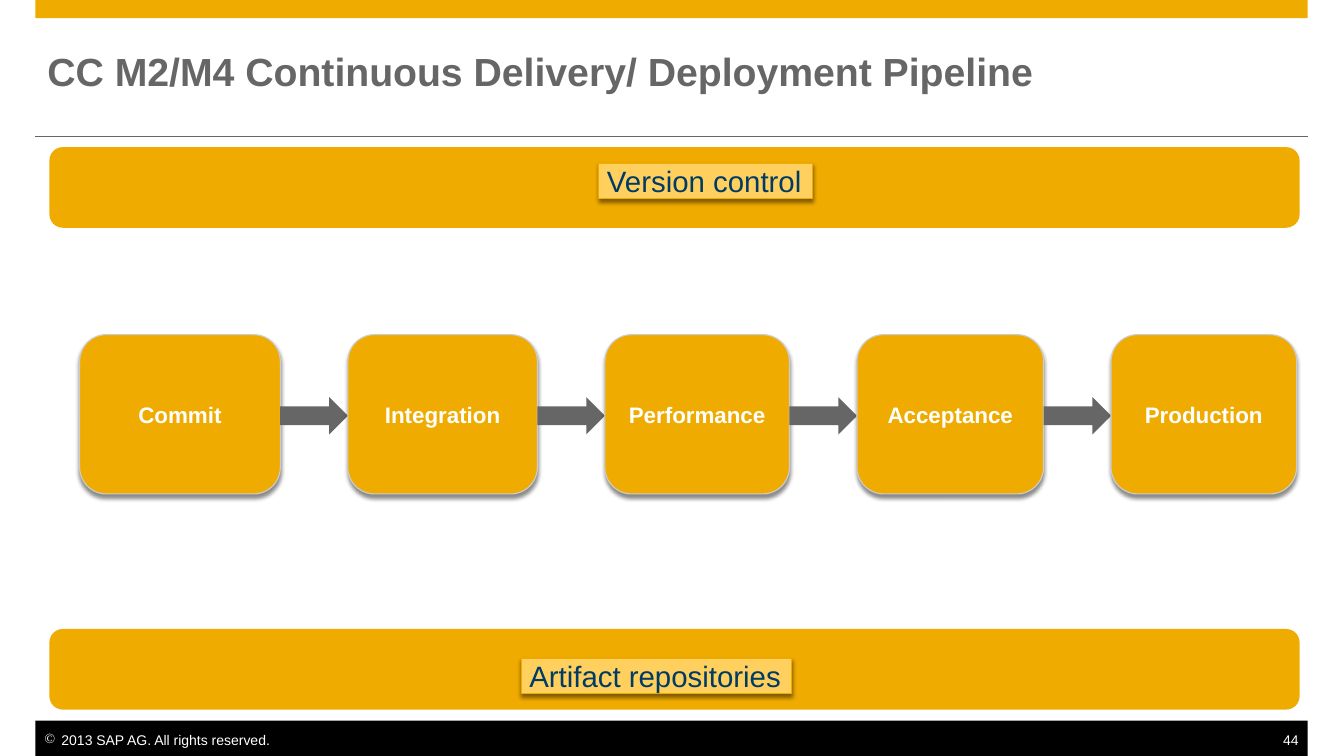
from lxml.etree import SubElement
from pptx import Presentation
from pptx.dml.color import RGBColor
from pptx.enum.shapes import MSO_CONNECTOR, MSO_SHAPE
from pptx.enum.text import MSO_ANCHOR, PP_ALIGN
from pptx.oxml.ns import qn
from pptx.util import Pt

PX = 9144  # 100 px to the inch
GOLD = RGBColor(0xF0, 0xAB, 0x00)
PALE = RGBColor(0xFF, 0xD0, 0x5D)
NAVY = RGBColor(0x00, 0x3B, 0x66)
GRAY = RGBColor(0x66, 0x66, 0x66)
SILVER = RGBColor(0xCC, 0xCC, 0xCC)
WHITE = RGBColor(0xFF, 0xFF, 0xFF)
BLACK = RGBColor(0x00, 0x00, 0x00)

STAGES = [("Commit", 199), ("Integration", 188), ("Performance", 183),
          ("Acceptance", 185), ("Production", 184)]


def emu(*sizes):
    return [size * PX for size in sizes]


def add_shadow(shape):
    effects = shape._element.spPr.find(qn("a:effectLst"))
    outer = SubElement(effects, qn("a:outerShdw"), blurRad=str(Pt(3)),
                       dist=str(Pt(2.4)), dir="5400000", rotWithShape="0")
    tint = SubElement(outer, qn("a:srgbClr"), val=str(BLACK))
    SubElement(tint, qn("a:alpha"), val="45000")


def add_block(slide, kind, box, fill, edge=None):
    """Add a filled shape; one with an edge also casts a shadow."""
    shape = slide.shapes.add_shape(kind, *emu(*box))
    shape.shadow.inherit = False
    shape.fill.solid()
    shape.fill.fore_color.rgb = fill
    if edge is None:
        shape.line.fill.background()
    else:
        shape.line.color.rgb = edge
        shape.line.width = Pt(0.79)
        add_shadow(shape)
    return shape


def write(shape, text, size, color, bold=False, align=PP_ALIGN.LEFT,
          anchor=MSO_ANCHOR.TOP, inset=(0, 0, 0, 0), wrap=True, bullet=None):
    frame = shape.text_frame
    frame.word_wrap = wrap
    frame.vertical_anchor = anchor
    (frame.margin_left, frame.margin_top,
     frame.margin_right, frame.margin_bottom) = emu(*inset)
    para = frame.paragraphs[0]
    para.alignment = align
    if bullet:
        props = para._p.get_or_add_pPr()
        props.set("marL", str(17 * PX))
        props.set("indent", str(-17 * PX))
        tint = SubElement(props, qn("a:buClr"))
        SubElement(tint, qn("a:srgbClr"), val=str(color))
        SubElement(props, qn("a:buChar"), char=bullet)
    run = para.add_run()
    run.text = text
    font = run.font
    font.name, font.size, font.bold = "Arial", Pt(size), bold
    font.color.rgb = color


def add_header(slide, x, y, w, h):
    add_block(slide, MSO_SHAPE.RECTANGLE, (x, y, w, 18), GOLD)
    rule = slide.shapes.add_connector(
        MSO_CONNECTOR.STRAIGHT, *emu(x, y + h, x + w, y + h))
    rule.line.color.rgb = GRAY
    rule.line.width = Pt(0.5)
    SubElement(rule._element.spPr, qn("a:effectLst"))
    title = slide.shapes.add_textbox(*emu(x + 12, y + 35, w - 23, 70))
    write(title, "CC M2/M4 Continuous Delivery/ Deployment Pipeline", 28,
          GRAY, bold=True, anchor=MSO_ANCHOR.MIDDLE)


def add_footer(slide, x, y, w, h):
    add_block(slide, MSO_SHAPE.RECTANGLE, (x, y, w, h), BLACK)
    note = slide.shapes.add_textbox(*emu(x, y + 11, 237, 17))
    write(note, "2013 SAP AG. All rights reserved.", 10, WHITE,
          inset=(9, 0, 0, 0), wrap=False, bullet="©")
    page = slide.shapes.add_textbox(*emu(x + w - 27, y + 11, 27, 17))
    write(page, "44", 10, WHITE, align=PP_ALIGN.RIGHT, inset=(0, 0, 9, 0))


def add_band(slide, x, y, w, h, text, left, top, width):
    """Add a wide bar with a label placed relative to its corner."""
    add_block(slide, MSO_SHAPE.ROUNDED_RECTANGLE, (x, y, w, h), GOLD)
    label = add_block(slide, MSO_SHAPE.RECTANGLE,
                      (x + left, y + top, width, 35), PALE, GOLD)
    write(label, text, 21, NAVY, inset=(8, 0, 0, 0), wrap=False)


def add_stages(slide, x, y, h, gap):
    """Add the stages left to right, with an arrow filling each gap."""
    for index, (name, width) in enumerate(STAGES):
        if index:
            add_block(slide, MSO_SHAPE.RIGHT_ARROW,
                      (x - gap, y + 62, gap, 37), GRAY)
        stage = add_block(slide, MSO_SHAPE.ROUNDED_RECTANGLE,
                          (x, y, width, h), GOLD, SILVER)
        write(stage, name, 16, WHITE, bold=True, align=PP_ALIGN.CENTER,
              anchor=MSO_ANCHOR.MIDDLE, inset=(12, 9, 12, 9))
        x += width + gap


def main():
    deck = Presentation()
    deck.slide_width, deck.slide_height = emu(1333, 750)
    slide = deck.slides.add_slide(deck.slide_layouts[6])
    add_header(slide, 35, 0, 1262, 135)
    add_footer(slide, 35, 715, 1262, 35)
    add_band(slide, 49, 146, 1240, 80, "Version control", 545, 16, 212)
    add_band(slide, 49, 624, 1240, 80, "Artifact repositories", 468, 29, 268)
    add_stages(slide, 79, 332, 158, 67)
    deck.save("out.pptx")


if __name__ == "__main__":
    main()
